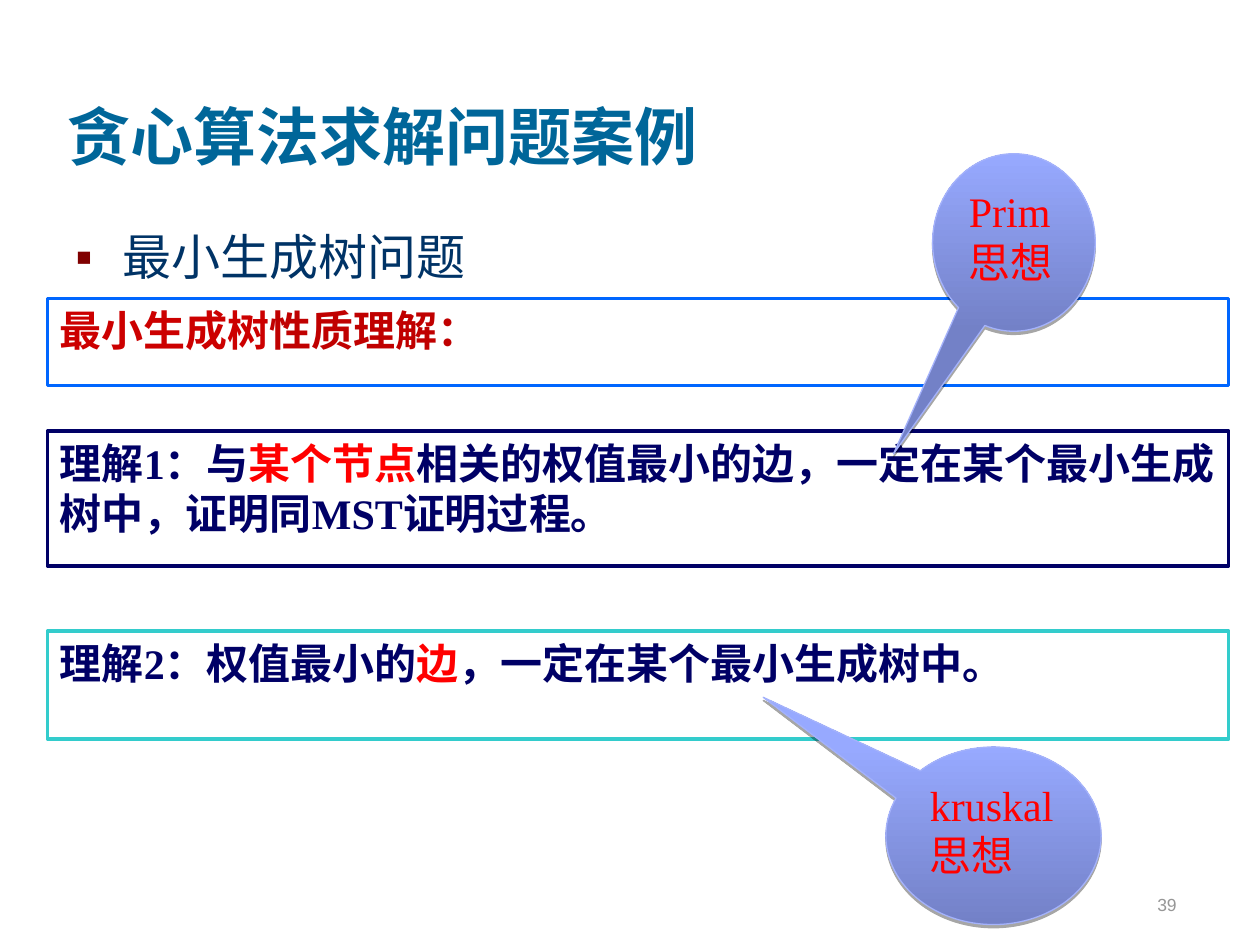
"""Build the slide on greedy algorithms and minimum spanning trees."""
import pptx
import pptx.dml.color
import pptx.enum.shapes
import pptx.enum.text
import pptx.oxml
import pptx.oxml.ns
import pptx.util
from lxml import etree

Cm = pptx.util.Cm
Pt = pptx.util.Pt
KIND = pptx.enum.shapes.MSO_SHAPE
ANCHOR = pptx.enum.text.MSO_ANCHOR
ALIGN = pptx.enum.text.PP_ALIGN
NAVY, RED = "000066", "FF0000"

TITLE = "贪心算法求解问题案例"
TOPIC = "最小生成树问题"
PAGE = "39"
LEFT, WIDE = 0.96, 23.81
BOXES = [
    (6.02, 1.75, "0066FF", [("最小生成树", "CC0000"), ("性质理解：", "C00000")]),
    (8.69, 2.72, NAVY, [
        ("理解1：与", NAVY),
        ("某个节点", RED),
        ("相关的权值最小的边，一定在某个最小生成树中，证明同MST证明过程。", NAVY),
    ]),
    (12.72, 2.18, "33CCCC", [
        ("理解2：权值最小的", NAVY),
        ("边", RED),
        ("，一定在某个最小生成树中。", NAVY),
    ]),
]
CALLS = [
    ("Prim思想", (18.8, 3.1, 3.28, 3.58), (-0.74, 1.19)),
    ("kruskal思想", (17.86, 15.06, 4.34, 3.58), (-1.07, -0.78)),
]


def color(code):
    return pptx.dml.color.RGBColor.from_string(code)


def node(root, tag, **attrs):
    return etree.SubElement(root, pptx.oxml.ns.qn(tag), attrs)


def write(shape, runs, size=24, face="Times New Roman", bold=False,
          anchor=ANCHOR.TOP, align=ALIGN.LEFT, mark=None):
    frame = shape.text_frame
    frame.word_wrap = True
    frame.vertical_anchor = anchor
    para = frame.paragraphs[0]
    para.alignment = align
    if mark:
        props = para._p.get_or_add_pPr()
        props.set("marL", str(Cm(0.95)))
        props.set("indent", str(-Cm(0.95)))
        node(node(props, "a:buClr"), "a:srgbClr", val="800000")
        node(props, "a:buFont", typeface="Arial")
        node(props, "a:buChar", char=mark)
    for text, code in runs:
        run = para.add_run()
        run.text = text
        font = run.font
        font.name, font.size, font.bold = face, Pt(size), bold
        font.color.rgb = color(code)


def place(slide, kind, area, edge, width):
    shape = slide.shapes.add_shape(kind, *map(Cm, area))
    shape.shadow.inherit = False
    shape.line.color.rgb = color(edge)
    shape.line.width = Pt(width)
    return shape


def label(slide, area, *runs, **style):
    write(slide.shapes.add_textbox(*map(Cm, area)), runs, **style)


def bubble(slide, text, area, tip):
    shape = place(slide, KIND.OVAL_CALLOUT, area, "A4B2FB", 0.75)
    shape.adjustments[0], shape.adjustments[1] = tip
    shape.fill.gradient()
    shape.fill.gradient_angle = 90
    for stop, code, spot in zip(shape.fill.gradient_stops, ("7381C7", "97A9FF"), (0, 1)):
        stop.color.rgb = color(code)
        stop.position = spot
    glow = shape._element.spPr.find(pptx.oxml.ns.qn("a:effectLst"))
    cast = node(glow, "a:outerShdw", blurRad="0", dist=str(Pt(1.8)),
                dir="5400000", rotWithShape="0")
    node(node(cast, "a:srgbClr", val="000000"), "a:alpha", val="35000")
    write(shape, [(text, RED)])


def main():
    deck = pptx.Presentation()
    deck.slide_width, deck.slide_height = Cm(25.4), Cm(19.05)
    slide = deck.slides.add_slide(deck.slide_layouts[6])
    label(slide, (1.11, 0.43, 21.59, 3.18), (TITLE, "006699"),
          size=36, bold=True, anchor=ANCHOR.BOTTOM)
    label(slide, (1.27, 4.45, 22.7, 1.57), (TOPIC, "003366"), size=28, mark="▪")
    label(slide, (18.69, 17.3, 5.28, 1.27), (PAGE, "969696"), size=10,
          face="Arial", anchor=ANCHOR.BOTTOM, align=ALIGN.RIGHT)
    for top, high, edge, runs in BOXES:
        box = place(slide, KIND.RECTANGLE, (LEFT, top, WIDE, high), edge, 2)
        box.fill.solid()
        box.fill.fore_color.rgb = color("FFFFFF")
        write(box, runs, bold=True)
    for call in CALLS:
        bubble(slide, *call)
    deck.save("out.pptx")


if __name__ == "__main__":
    main()
